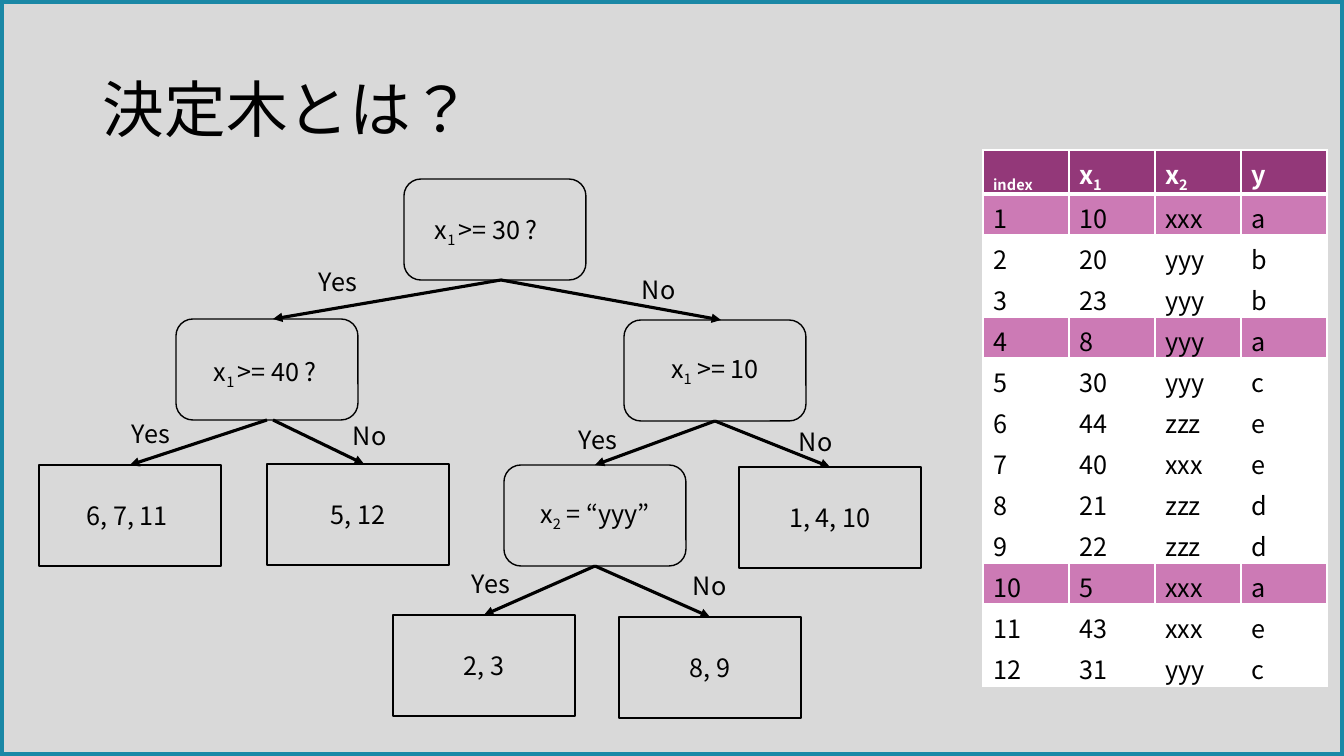
from pptx import Presentation
from pptx.dml.color import RGBColor
from pptx.enum.lang import MSO_LANGUAGE_ID
from pptx.enum.shapes import MSO_CONNECTOR, MSO_SHAPE
from pptx.enum.text import MSO_ANCHOR, PP_ALIGN
from pptx.oxml.ns import qn
from pptx.util import Pt
from lxml.etree import SubElement

EMU_PER_PIXEL = 914400 / 100.8
FONT = "Noto Sans CJK JP"
BLACK, WHITE = "000000", "FFFFFF"
HEADER_FILL, MATCH_FILL = "933879", "CC7AB5"
NODE_WIDTH, NODE_HEIGHT = 182, 101
LABEL_WIDTH, QUESTION_WIDTH, TEXT_HEIGHT = 64, 140, 40

NODES = {
    "root": (404, 179, MSO_SHAPE.ROUNDED_RECTANGLE, ""),
    "left": (176, 319, MSO_SHAPE.ROUNDED_RECTANGLE, ""),
    "right": (624, 320, MSO_SHAPE.ROUNDED_RECTANGLE, "x|1| >= 10"),
    "left yes": (39, 465, MSO_SHAPE.RECTANGLE, "6, 7, 11 "),
    "left no": (267, 464, MSO_SHAPE.RECTANGLE, "5, 12"),
    "inner": (504, 465, MSO_SHAPE.ROUNDED_RECTANGLE, "x|2| = “yyy”"),
    "right no": (739, 467, MSO_SHAPE.RECTANGLE, "1, 4, 10"),
    "inner yes": (393, 615, MSO_SHAPE.RECTANGLE, "2, 3"),
    "inner no": (619, 617, MSO_SHAPE.RECTANGLE, "8, 9"),
}
BRANCHES = [
    ("root", "left", 6, "Yes", 309, 261),
    ("root", "right", 6, "No", 632, 269),
    ("left", "left yes", 0, "Yes", 122, 413),
    ("left", "left no", 6, "No", 343, 415),
    ("right", "inner", 0, "Yes", 569, 419),
    ("right", "right no", 0, "No", 789, 421),
    ("inner", "inner yes", 0, "Yes", 462, 563),
    ("inner", "inner no", 0, "No", 683, 565),
]
QUESTIONS = [("x|1 |>= 30 ?", 425, 209), ("x|1 |>= 40 ?", 204, 351)]
HEADERS = ["|index", "x|1", "x|2", "y"]
SAMPLES = [
    (10, "xxx", "a"), (20, "yyy", "b"), (23, "yyy", "b"), (8, "yyy", "a"),
    (30, "yyy", "c"), (44, "zzz", "e"), (40, "xxx", "e"), (21, "zzz", "d"),
    (22, "zzz", "d"), (5, "xxx", "a"), (43, "xxx", "e"), (31, "yyy", "c"),
]


def px(*pixels):
    return [round(pixel * EMU_PER_PIXEL) for pixel in pixels]


def color(hex_code):
    return RGBColor.from_string(hex_code)


def apply(target, formats):
    for name, value in formats.items():
        setattr(target, name, value)


def write(frame, text, size=18, ink=BLACK, bold=False, **paragraph_formats):
    para = frame.paragraphs[0]
    apply(para, paragraph_formats)
    for position, piece in enumerate(text.split("|")):
        if not piece:
            continue
        span = para.add_run()
        span.text = piece
        apply(span.font, {"name": FONT, "size": Pt(size), "bold": bold,
                          "language_id": MSO_LANGUAGE_ID.JAPANESE})
        span.font.color.rgb = color(ink)
        properties = span.font._element
        SubElement(properties, qn("a:ea"), typeface=FONT)
        if position % 2:
            properties.set("baseline", "-25000")


def add_text(page, text, left, top, width, height, wrap=False,
             anchor=MSO_ANCHOR.TOP, **formats):
    box = page.shapes.add_textbox(*px(left, top, width, height))
    apply(box.text_frame, {"word_wrap": wrap, "vertical_anchor": anchor})
    write(box.text_frame, text, **formats)


def add_outline(page, kind, left, top, width, height, ink, weight):
    shape = page.shapes.add_shape(kind, *px(left, top, width, height))
    shape.shadow.inherit = False
    shape.fill.background()
    shape.line.color.rgb = color(ink)
    shape.line.width = Pt(weight)
    return shape


def add_node(page, left, top, kind, text):
    node = add_outline(page, kind, left, top, NODE_WIDTH, NODE_HEIGHT, BLACK, 1)
    node.text_frame.vertical_anchor = MSO_ANCHOR.MIDDLE
    if text:
        write(node.text_frame, text, alignment=PP_ALIGN.CENTER)


def add_branch(page, parent, child, shift):
    middle = NODE_WIDTH // 2 + shift
    parent_left, parent_top = NODES[parent][:2]
    child_left, child_top = NODES[child][:2]
    arrow = page.shapes.add_connector(MSO_CONNECTOR.STRAIGHT, *px(
        parent_left + middle, parent_top + NODE_HEIGHT,
        child_left + middle, child_top))
    arrow.line.color.rgb = color(BLACK)
    arrow.line.width = Pt(2.25)
    SubElement(arrow.line._get_or_add_ln(), qn("a:tailEnd"), type="triangle")
    SubElement(arrow._element.spPr, qn("a:effectLst"))


def add_border(cell, side, weight):
    line = SubElement(cell._tc.get_or_add_tcPr(), qn(f"a:ln{side}"), w=str(Pt(weight)))
    fill = SubElement(line, qn("a:solidFill"))
    SubElement(fill, qn("a:srgbClr"), val=WHITE)


def fill_cell(cell, text, background, is_header):
    cell.margin_bottom = 0
    for side in "LRTB":
        add_border(cell, side, 3 if is_header and side == "B" else 1)
    cell.fill.solid()
    cell.fill.fore_color.rgb = color(background)
    write(cell.text_frame, text, ink=WHITE if is_header else BLACK, bold=is_header)


def add_samples(page):
    rows = [HEADERS] + [(index, *sample) for index, sample in enumerate(SAMPLES, 1)]
    grid = page.shapes.add_table(len(rows), len(HEADERS), *px(983, 150, 344, 536)).table
    for column in grid.columns:
        column.width = px(86)[0]
    for number, values in enumerate(rows):
        is_header = number == 0
        grid.rows[number].height = px(44 if is_header else 41)[0]
        background = MATCH_FILL if values[-1] == "a" else WHITE
        for column, value in enumerate(values):
            fill_cell(grid.cell(number, column), str(value),
                      HEADER_FILL if is_header else background, is_header)


def main():
    deck = Presentation()
    deck.slide_width, deck.slide_height = px(1344, 756)
    page = deck.slides.add_slide(deck.slide_layouts[6])
    page.background.fill.solid()
    page.background.fill.fore_color.rgb = color("D9D9D9")
    add_outline(page, MSO_SHAPE.RECTANGLE, 0, 0, 1344, 756, "1B88A6", 6)
    add_text(page, "決定木とは？", 93, 40, 1159, 146, wrap=True,
             anchor=MSO_ANCHOR.MIDDLE, size=44, line_spacing=0.9)
    for node in NODES.values():
        add_node(page, *node)
    for parent, child, shift, label, left, top in BRANCHES:
        add_branch(page, parent, child, shift)
        add_text(page, label, left, top, LABEL_WIDTH, TEXT_HEIGHT)
    for question, left, top in QUESTIONS:
        add_text(page, question, left, top, QUESTION_WIDTH, TEXT_HEIGHT)
    add_samples(page)
    deck.save("out.pptx")


main()
